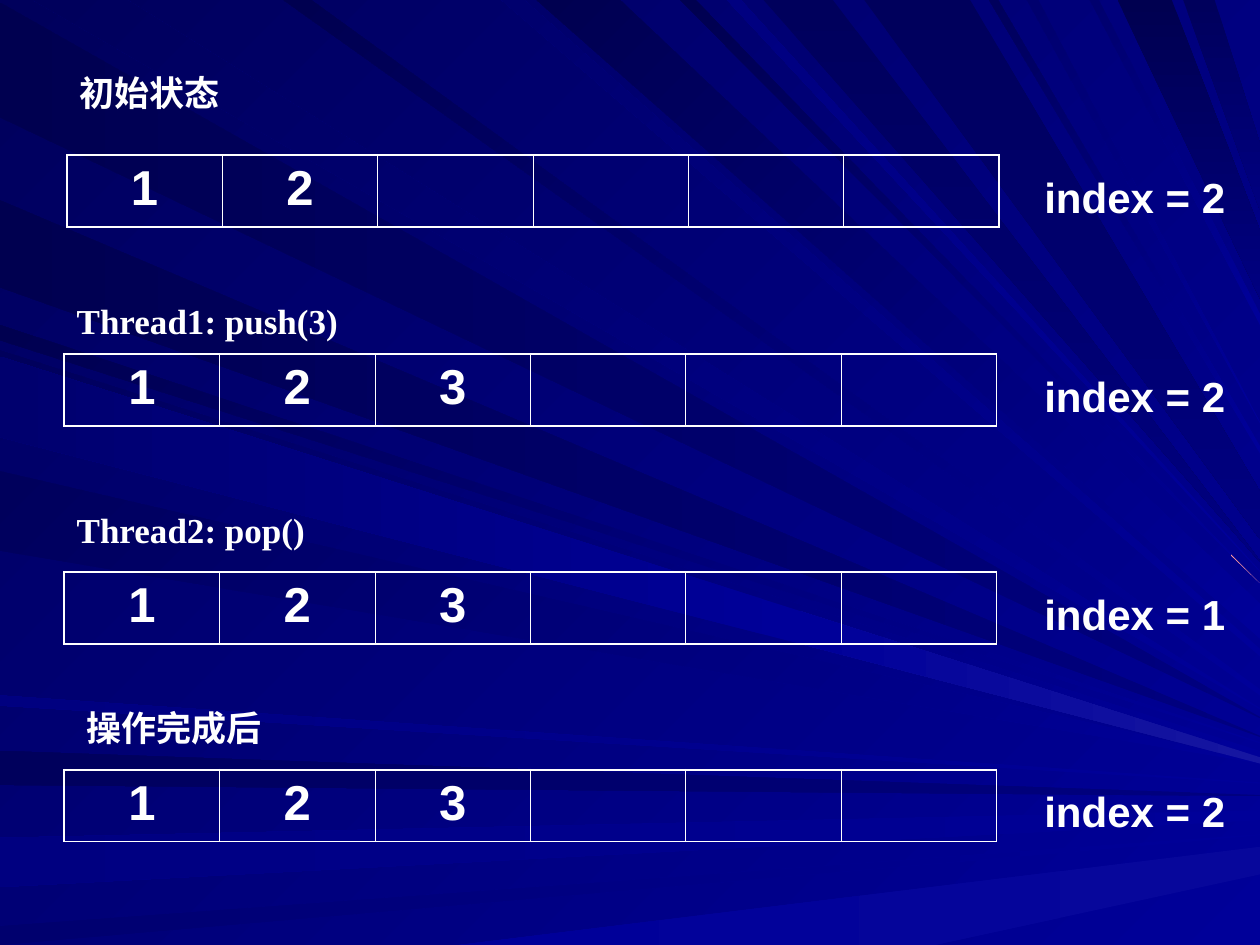
from dataclasses import dataclass
from typing import NamedTuple

from lxml import etree
from pptx import Presentation
from pptx import util as u
from pptx.dml.color import RGBColor
from pptx.enum import text
from pptx.oxml import ns

Pt = u.Pt
WHITE, PINK = "FFFFFF", "FF9999"
INK, DEEP, DUSK, NAVY, BLUE, GLOW = "000050", "00005C", "00006E", "000080", "000099", "1616A1"
LEFTWARD, DIAGONAL, DOWNWARD = 180, 225, 90
SLOTS = 6
SLOT_WIDTH, SLOT_HEIGHT = 88.8, 41
OUTER, INNER = 1.08, 0.45
GRID_RIGHT, GRID_BOTTOM = 1000, 750
RAY_UNIT = Pt(0.72)  # the page is GRID_RIGHT units wide


class Ray(NamedTuple):
    """A wedge from one page edge; near is the corner joined to the apex."""
    edge: str
    near: int
    far: int
    apex: int
    start: str
    end: str
    angle: int = LEFTWARD
    depth: int = 1
    reach: int = GRID_RIGHT


@dataclass
class StackState:
    caption: str
    caption_top: float
    top: float
    values: str = "123"
    index: int = 2
    left: float = 36.7
    caption_shift: float = 0


RAYS = [
    Ray("left", 2, 93, 569, NAVY, INK),
    Ray("top", 101, 26, 562, BLUE, DEEP, DIAGONAL),
    Ray("left", 596, 623, 631, NAVY, DEEP),
    Ray("left", 665, 704, 643, BLUE, NAVY, depth=8),
    Ray("left", 735, 750, 662, BLUE, DUSK),
    Ray("bottom", 364, 742, 672, "07079B", BLUE, depth=22),
    Ray("left", 258, 270, 589, BLUE, INK, DIAGONAL),
    Ray("left", 159, 228, 584, NAVY, INK),
    Ray("top", 416, 398, 515, BLUE, DUSK, DIAGONAL, depth=6),
    Ray("top", 492, 426, 479, BLUE, INK, DIAGONAL, depth=28),
    Ray("top", 552, 540, 463, BLUE, INK, DIAGONAL),
    Ray("top", 661, 606, 445, DEEP, NAVY, DOWNWARD),
    Ray("top", 930, 887, 183, INK, NAVY, DOWNWARD, depth=54),
    Ray("top", 964, 939, 114, DEEP, NAVY, DOWNWARD, depth=53),
    Ray("left", 278, 342, 596, BLUE, DEEP, DIAGONAL, depth=6),
    Ray("left", 374, 437, 605, BLUE, DEEP, DIAGONAL),
    Ray("left", 552, 560, 621, BLUE, NAVY),
    Ray("top", 247, 225, 547, BLUE, INK, DIAGONAL, depth=5),
    Ray("top", 588, 577, 453, BLUE, NAVY, DIAGONAL),
    Ray("top", 770, 686, 390, DEEP, NAVY, DOWNWARD, depth=38),
    Ray("top", 792, 785, 354, BLUE, DEEP, DIAGONAL, depth=6),
    Ray("top", 824, 815, 335, BLUE, DUSK, DIAGONAL),
    Ray("top", 872, 865, 249, BLUE, DUSK, DIAGONAL, depth=9),
    Ray("left", 283, 347, 485, BLUE, DUSK, depth=26, reach=635),
]
BRIGHT_TIP = [(635, 485), (635, 511), (1000, 606), (1000, 601)]
PINK_SLIVER = [(977, 440), (1000, 463), (977, 441)]

STATES = [
    StackState("初始状态", 37.4, 88.6, values="12", left=38.2),
    StackState("Thread1: push(3)", 167.8, 202.3),
    StackState("Thread2: pop()", 287.3, 326.9, index=1),
    StackState("操作完成后", 400.3, 439.9, caption_shift=5.8),
]


def colour(value: str) -> RGBColor:
    return RGBColor.from_string(value)


def fill_gradient(fill, start: str, end: str, angle: int) -> None:
    """Fill from start to end; the angle runs clockwise in degrees."""
    fill.gradient()
    fill.gradient_angle = 360 - angle
    for position, (stop, value) in enumerate(zip(fill.gradient_stops, (start, end))):
        stop.color.rgb = colour(value)
        stop.position = position


def draw_outline(page, corners: list, start: str, end: str, angle: int) -> None:
    builder = page.shapes.build_freeform(*corners[0], scale=RAY_UNIT)
    builder.add_line_segments(corners[1:], close=True)
    shape = builder.convert_to_shape()
    shape.shadow.inherit = False
    shape.line.fill.background()
    fill_gradient(shape.fill, start, end, angle)


def edge_point(edge: str, offset: int) -> tuple:
    if edge == "left":
        return 0, offset
    return offset, GRID_BOTTOM if edge == "bottom" else 0


def draw_ray(page, ray: Ray) -> None:
    corners = [edge_point(ray.edge, ray.near), edge_point(ray.edge, ray.far),
               (ray.reach, ray.apex + ray.depth), (ray.reach, ray.apex)]
    draw_outline(page, corners, ray.start, ray.end, ray.angle)


def add_span(para, words: str, font: str, size: float, before: float) -> None:
    para.space_before = Pt(before)
    span = para.add_run()
    span.text = words
    span.font.name = font
    span.font.size = Pt(size)
    span.font.bold = True
    span.font.color.rgb = colour(WHITE)


def add_label(page, words: str, left: float, top: float, width: float, height: float,
              font: str, size: float, before: float) -> None:
    box = page.shapes.add_textbox(Pt(left), Pt(top), Pt(width), Pt(height))
    frame = box.text_frame
    frame.word_wrap = True
    frame.auto_size = text.MSO_AUTO_SIZE.SHAPE_TO_FIT_TEXT
    add_span(frame.paragraphs[0], words, font, size, before)


def set_borders(cell, widths: dict) -> None:
    """Draw white cell borders; widths maps L, R, T, B in that order."""
    properties = cell._tc.get_or_add_tcPr()
    for place, (side, width) in enumerate(widths.items()):
        line = etree.Element(ns.qn(f"a:ln{side}"), w=str(Pt(width)))
        solid = etree.SubElement(line, ns.qn("a:solidFill"))
        etree.SubElement(solid, ns.qn("a:srgbClr"), val=WHITE)
        properties.insert(place, line)


def draw_array(page, state: StackState) -> None:
    frame = page.shapes.add_table(1, SLOTS, Pt(state.left), Pt(state.top),
                                  Pt(SLOT_WIDTH * SLOTS), Pt(SLOT_HEIGHT))
    table = frame.table
    table.first_row = table.horz_banding = False
    for slot, column in enumerate(table.columns):
        column.width = Pt(SLOT_WIDTH)
        cell = table.cell(0, slot)
        cell.fill.background()
        set_borders(cell, {"L": OUTER if slot == 0 else INNER,
                           "R": OUTER if slot == SLOTS - 1 else INNER,
                           "T": OUTER, "B": OUTER})
        if slot < len(state.values):
            para = cell.text_frame.paragraphs[0]
            para.alignment = text.PP_ALIGN.CENTER
            add_span(para, state.values[slot], "Arial", 28, 7)


def draw_state(page, state: StackState) -> None:
    draw_array(page, state)
    add_label(page, f"index = {state.index}", 589.7, state.top + 5.7, 130.3, 36,
              "Arial", 24, 15)
    add_label(page, state.caption, state.left + state.caption_shift, state.caption_top,
              193, 31.7, "Times New Roman", 20, 12.5)


def main() -> None:
    deck = Presentation()
    deck.slide_width, deck.slide_height = Pt(720), Pt(540)
    page = deck.slides.add_slide(deck.slide_layouts[6])
    fill_gradient(page.background.fill, BLUE, DEEP, DIAGONAL)
    for ray in RAYS:
        draw_ray(page, ray)
    draw_outline(page, BRIGHT_TIP, GLOW, BLUE, LEFTWARD)
    draw_outline(page, PINK_SLIVER, PINK, PINK, LEFTWARD)
    for state in STATES:
        draw_state(page, state)
    deck.save("out.pptx")


if __name__ == "__main__":
    main()
